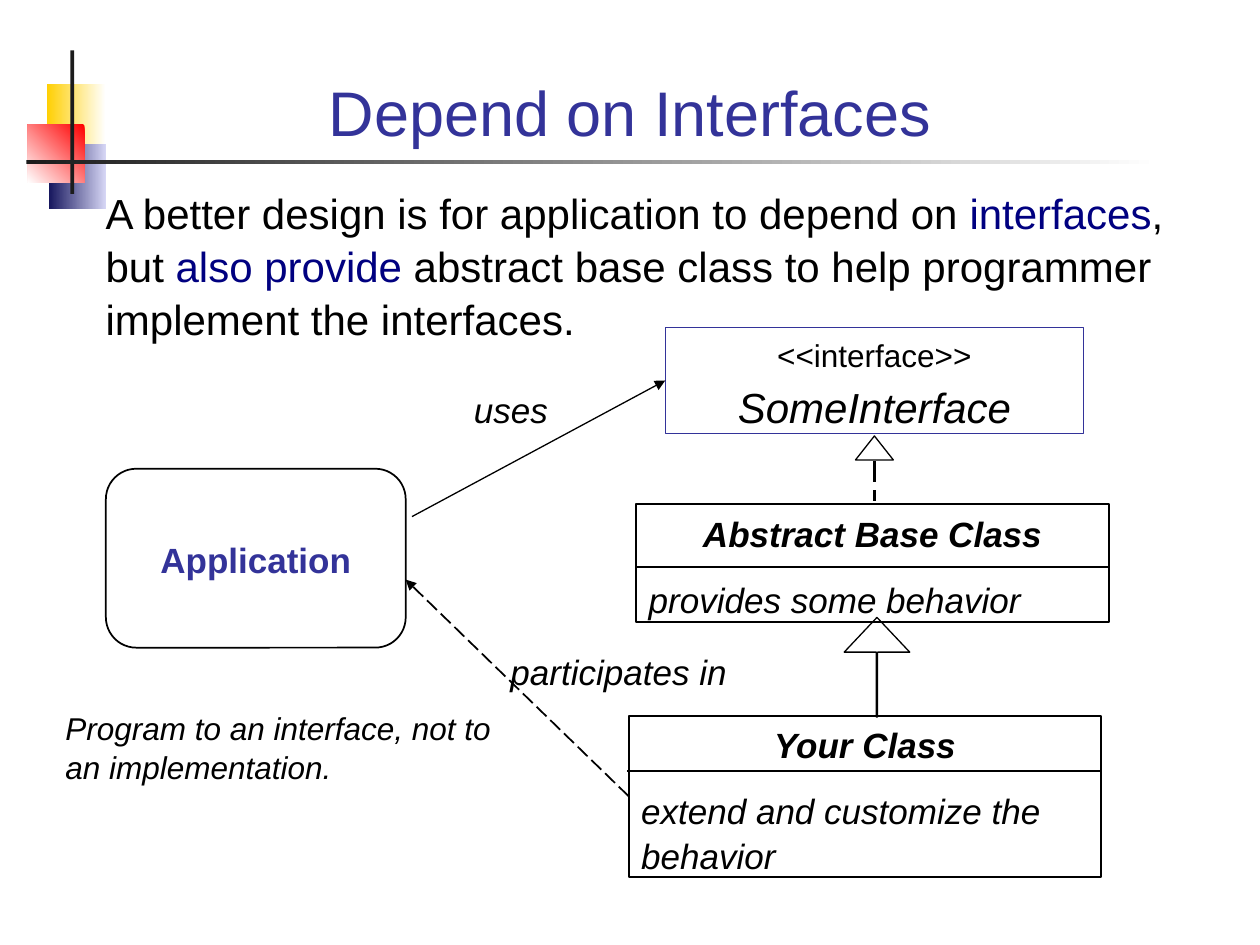
from dataclasses import dataclass

from lxml import etree
from pptx import Presentation
from pptx import util as u
from pptx.dml.color import RGBColor
from pptx.enum import dml, shapes, text
from pptx.oxml.ns import qn

PX = 9144
SHAPE = shapes.MSO_SHAPE
LEFT, CENTER = text.PP_ALIGN.LEFT, text.PP_ALIGN.CENTER
TOP, MIDDLE, BOTTOM = (text.MSO_ANCHOR.TOP, text.MSO_ANCHOR.MIDDLE,
                       text.MSO_ANCHOR.BOTTOM)


@dataclass(frozen=True)
class Theme:
    """Colours and type sizes of the slide."""
    font: str = "Arial"
    ink: str = "000000"
    accent: str = "333399"
    navy: str = "000080"
    bar: str = "1C1C1C"
    white: str = "FFFFFF"
    yellow: str = "FFCF01"
    red: str = "FF0000"
    indigo: str = "17175E"
    lilac: str = "D6D6F5"
    title: int = 36
    large: int = 24
    label: int = 20
    small: int = 18
    leading: float = 1.05


T = Theme()


def rgb(value):
    """Turn a hex string into a colour."""
    return RGBColor.from_string(value)


def emu(box):
    """Scale px lengths to EMU."""
    return [u.Emu(v * PX) for v in box]


def add_box(s, kind, box, fill=None, line=None, width=1):
    """Add a preset shape with an optional fill and outline."""
    sp = s.shapes.add_shape(kind, *emu(box))
    sp.shadow.inherit = False
    if fill:
        sp.fill.solid()
        sp.fill.fore_color.rgb = rgb(fill)
    else:
        sp.fill.background()
    if line:
        sp.line.color.rgb = rgb(line)
        sp.line.width = u.Pt(width)
    else:
        sp.line.fill.background()
    return sp


def add_gradient(s, box, start, end, angle=0):
    """Add a borderless rectangle with a two-colour gradient."""
    sp = add_box(s, SHAPE.RECTANGLE, box)
    sp.fill.gradient()
    sp.fill.gradient_angle = angle
    for stop, color in zip(sp.fill.gradient_stops, (start, end)):
        stop.color.rgb = rgb(color)


def add_line(s, start, end, width=1, dash=False, arrow=False):
    """Add a straight connector, dashed or arrow-headed on request."""
    sp = s.shapes.add_connector(shapes.MSO_CONNECTOR.STRAIGHT,
                                *emu(start + end))
    sp.line.color.rgb = rgb(T.ink)
    sp.line.width = u.Pt(width)
    if dash:
        sp.line.dash_style = dml.MSO_LINE.LONG_DASH
    if arrow:
        etree.SubElement(sp.line._get_or_add_ln(), qn("a:tailEnd"),
                         type="triangle")
    etree.SubElement(sp._element.spPr, qn("a:effectLst"))
    return sp


def write(sp, paragraphs, anchor=TOP):
    """Fill a shape with (runs, size, align, space, style) paragraphs."""
    tf = sp.text_frame
    tf.word_wrap = True
    tf.vertical_anchor = anchor
    for i, (runs, size, align, space, style) in enumerate(paragraphs):
        p = tf.add_paragraph() if i else tf.paragraphs[0]
        p.alignment = align
        p.line_spacing = T.leading
        p.space_before = u.Pt(space if i else 0)
        p.font.name = T.font
        p.font.size = u.Pt(size)
        p.font.bold = "b" in style
        p.font.italic = "i" in style
        for words, color in runs:
            r = p.add_run()
            r.text = words
            r.font.color.rgb = rgb(color)


def add_text(s, box, runs, size, align=LEFT, style="", anchor=TOP):
    """Add a one-paragraph text box."""
    sp = s.shapes.add_textbox(*emu(box))
    write(sp, [(runs, size, align, 0, style)], anchor)


def add_ornament(s, x, y):
    """Draw the coloured squares and the crossing bars."""
    add_gradient(s, (x + 16, y + 27, 47, 52), T.yellow, T.white)
    add_gradient(s, (x + 18, y + 74, 45, 52), T.indigo, T.lilac)
    add_gradient(s, (x + 1, y + 59, 45, 46), T.red, T.white, 225)
    add_box(s, SHAPE.RECTANGLE, (x + 35, y, 3, 114), T.bar)
    add_gradient(s, (x, y + 87, 899, 3), T.bar, T.white)


def add_interface(s, box):
    """Draw the interface box."""
    sp = add_box(s, SHAPE.RECTANGLE, box, line=T.accent, width=0.75)
    write(sp, [([("<<interface>>", T.ink)], T.small, CENTER, 0, ""),
               ([("SomeInterface", T.ink)], T.large, CENTER, 3, "i")])
    return sp


def add_class(s, box, name, detail, split):
    """Draw a class box with a divider under its name."""
    x, y, w, h = box
    sp = add_box(s, SHAPE.RECTANGLE, box, line=T.ink)
    write(sp, [([(name, T.ink)], T.label, CENTER, 0, "bi"),
               ([(detail, T.ink)], T.label, LEFT, 12.5, "i")])
    add_line(s, (x - 1, y + split), (x + w, y + split))
    return sp


def add_application(s, box):
    """Draw the rounded application box."""
    sp = add_box(s, SHAPE.ROUNDED_RECTANGLE, box, line=T.ink)
    sp.adjustments[0] = 0.17
    write(sp, [([("Application", T.accent)], T.label, CENTER, 0, "b")], MIDDLE)


def add_realization(s, x, y):
    """Draw the dashed line with a hollow triangle, tip at x, y."""
    add_box(s, SHAPE.ISOSCELES_TRIANGLE, (x - 15, y, 30, 19),
            T.white, T.ink, 0.75)
    add_line(s, (x, y + 20), (x, y + 52), 1.5, dash=True)


def add_generalization(s, box):
    """Draw the thin-shafted arrow from subclass to base class."""
    sp = add_box(s, SHAPE.UP_ARROW, box, line=T.ink, width=0.75)
    sp.adjustments[0] = 0.02
    sp.adjustments[1] = 0.53


def add_diagram(s, x, y):
    """Draw the class diagram and its labels."""
    add_application(s, (x, y + 112, 238, 142))
    interface = add_interface(s, (x + 444, y, 332, 84))
    add_class(s, (x + 421, y + 140, 375, 94),
              "Abstract Base Class", "provides some behavior", 50)
    yours = add_class(s, (x + 415, y + 308, 375, 128),
                      "Your Class", "extend and customize the behavior", 44)
    add_realization(s, x + 610, y + 86)
    add_generalization(s, (x + 586, y + 230, 52, 79))
    uses = add_line(s, (x + 243, y + 150), (x + 444, y + 42), 0.75, arrow=True)
    uses.end_connect(interface, 1)
    joins = add_line(s, (x + 415, y + 372), (x + 238, y + 200),
                     dash=True, arrow=True)
    joins.begin_connect(yours, 1)
    for words, box in (("uses", (x + 256, y + 42, 131, 44)),
                       ("participates in", (x + 266, y + 250, 282, 44))):
        add_text(s, box, [(words, T.ink)], T.label, CENTER, "i")


def main():
    """Build and save the slide."""
    prs = Presentation()
    prs.slide_width, prs.slide_height = emu((1000, 750))
    s = prs.slides.add_slide(prs.slide_layouts[6])
    add_ornament(s, 21, 40)
    add_text(s, (67, 28, 866, 95), [("Depend on Interfaces", T.accent)],
             T.title, CENTER, anchor=BOTTOM)
    add_text(s, (74, 142, 866, 198), [
        ("A better design is for application to depend on ", T.ink),
        ("interfaces", T.navy),
        (", but ", T.ink),
        ("also provide", T.navy),
        (" abstract base class to help programmer implement the interfaces.",
         T.ink)], T.large)
    add_diagram(s, 84, 260)
    add_text(s, (42, 556, 368, 70),
             [("Program to an interface, not to an implementation.", T.ink)],
             T.small, style="i")
    prs.save("out.pptx")


if __name__ == "__main__":
    main()
